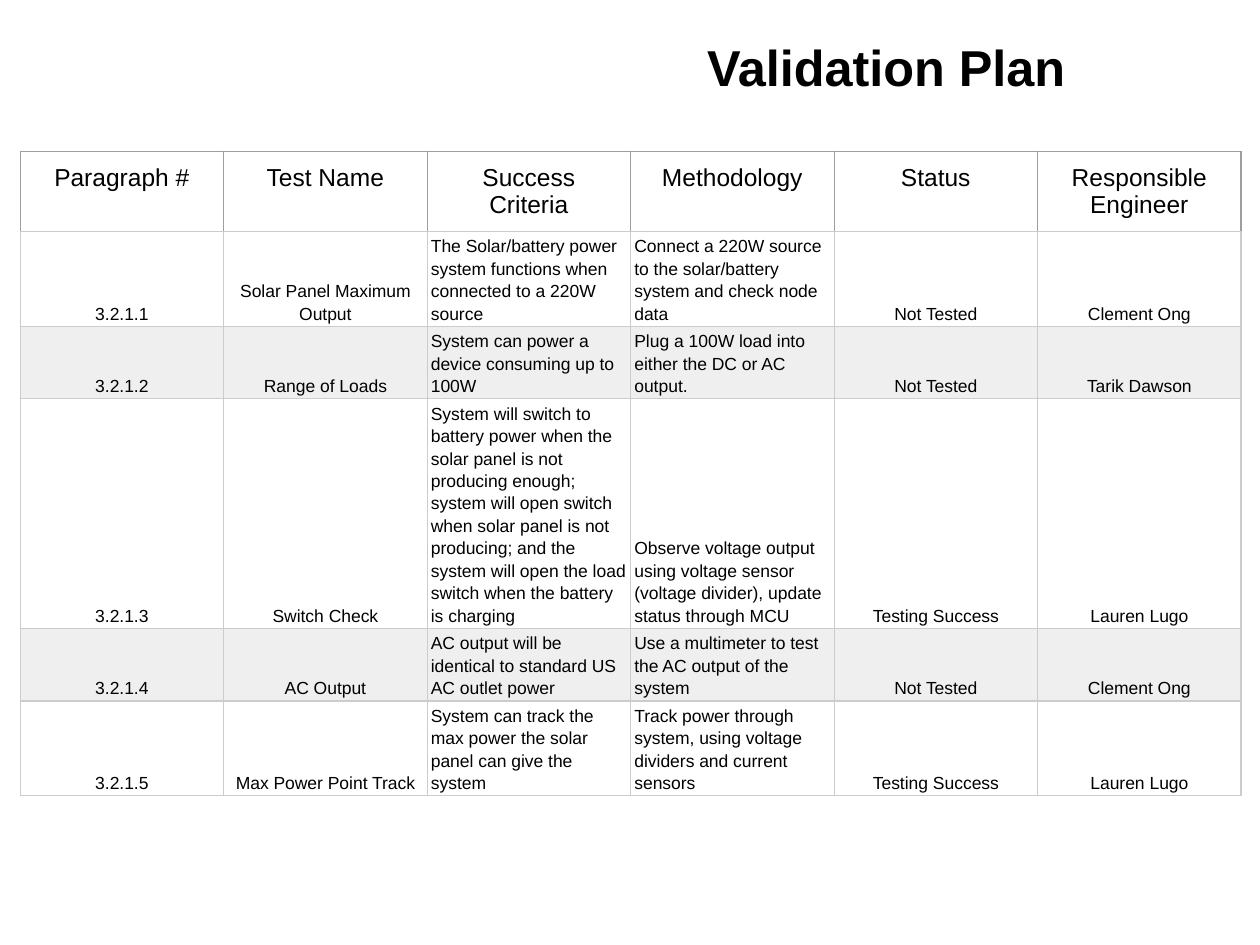
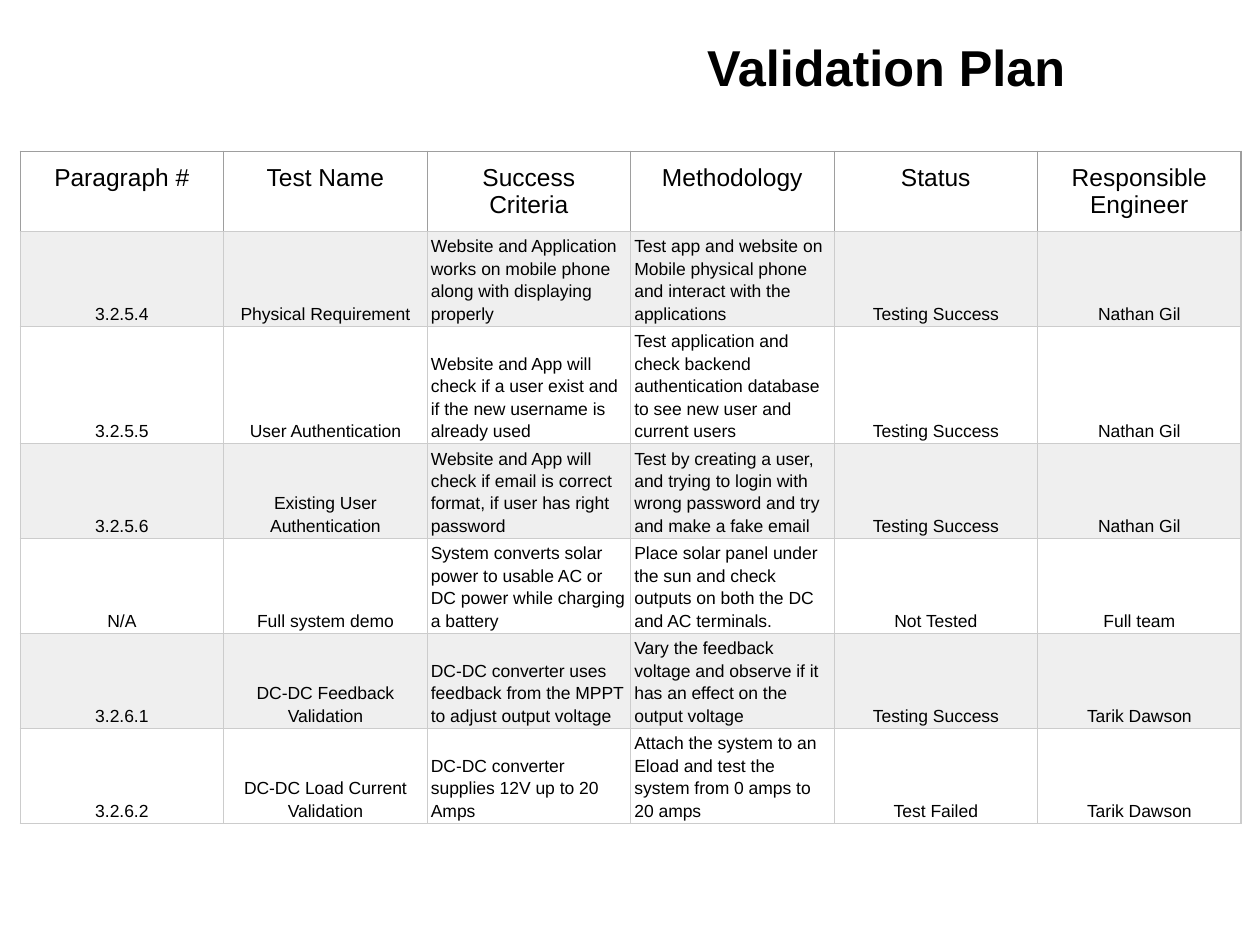
from typing import NamedTuple

from lxml.etree import SubElement
from pptx import Presentation
from pptx.dml.color import RGBColor
from pptx.enum.text import MSO_ANCHOR as Anchor, MSO_AUTO_SIZE as AutoSize, PP_ALIGN as Align
from pptx.oxml.ns import qn
from pptx.util import Inches, Pt

BLACK = RGBColor(0x00, 0x00, 0x00)
WHITE = RGBColor(0xFF, 0xFF, 0xFF)
BAND = RGBColor(0xEF, 0xEF, 0xEF)
GRID = RGBColor(0xCC, 0xCC, 0xCC)
HEADER_GRID = RGBColor(0x9E, 0x9E, 0x9E)
FONT = "Arial"
TITLE = "Validation Plan"
TABLE_LEFT, TABLE_TOP = Inches(0.16), Inches(1.2)
TABLE_WIDTH, ROW_HEIGHT = Inches(9.69), Inches(0.43)
HEADINGS = ("Paragraph #", "Test Name", "Success Criteria", "Methodology", "Status", "Responsible Engineer")
SIDES = ("L", "R", "T", "B")


class Check(NamedTuple):
    paragraph: str
    test: str
    criteria: str
    methodology: str
    status: str
    engineer: str


class Plan(NamedTuple):
    checks: tuple[Check, ...]
    bands: tuple[RGBColor, RGBColor]


class CellStyle(NamedTuple):
    size: float
    anchor: Anchor
    side_margin: float
    end_margin: float
    line_spacing: float
    borders: tuple[RGBColor, ...]


HEADER_STYLE = CellStyle(14, Anchor.TOP, 0.1, 0.1, 1.0, (HEADER_GRID, HEADER_GRID, HEADER_GRID, GRID))
BODY_STYLE = CellStyle(10, Anchor.BOTTOM, 0.03, 0.02, 1.15, (GRID,) * 4)

PLANS = (
    Plan((
        Check("3.2.1.1", "Solar Panel Maximum Output",
              "The Solar/battery power system functions when connected to a 220W source",
              "Connect a 220W source to the solar/battery system and check node data",
              "Not Tested", "Clement Ong"),
        Check("3.2.1.2", "Range of Loads",
              "System can power a device consuming up to 100W",
              "Plug a 100W load into either the DC or AC output.",
              "Not Tested", "Tarik Dawson"),
        Check("3.2.1.3", "Switch Check",
              "System will switch to battery power when the solar panel is not producing enough; "
              "system will open switch when solar panel is not producing; "
              "and the system will open the load switch when the battery is charging",
              "Observe voltage output using voltage sensor (voltage divider), update status through MCU",
              "Testing Success", "Lauren Lugo"),
        Check("3.2.1.4", "AC Output",
              "AC output will be identical to standard US AC outlet power",
              "Use a multimeter to test the AC output of the system",
              "Not Tested", "Clement Ong"),
        Check("3.2.1.5", "Max Power Point Track",
              "System can track the max power the solar panel can give the system",
              "Track power through system, using voltage dividers and current sensors",
              "Testing Success", "Lauren Lugo"),
    ), (WHITE, BAND)),
    Plan((
        Check("3.2.5.4", "Physical Requirement",
              "Website and Application works on mobile phone along with displaying properly",
              "Test app and website on Mobile physical phone and interact with the applications",
              "Testing Success", "Nathan Gil"),
        Check("3.2.5.5", "User Authentication",
              "Website and App will check if a user exist and if the new username is already used",
              "Test application and check backend authentication database to see new user and current users",
              "Testing Success", "Nathan Gil"),
        Check("3.2.5.6", "Existing User Authentication",
              "Website and App will check if email is correct format, if user has right password",
              "Test by creating a user, and trying to login with wrong password and try and make a fake email",
              "Testing Success", "Nathan Gil"),
        Check("N/A", "Full system demo",
              "System converts solar power to usable AC or DC power while charging a battery",
              "Place solar panel under the sun and check outputs on both the DC and AC terminals.",
              "Not Tested", "Full team"),
        Check("3.2.6.1", "DC-DC Feedback Validation",
              "DC-DC converter uses feedback from the MPPT to adjust output voltage",
              "Vary the feedback voltage and observe if it has an effect on the output voltage",
              "Testing Success", "Tarik Dawson"),
        Check("3.2.6.2", "DC-DC Load Current Validation",
              "DC-DC converter supplies 12V up to 20 Amps",
              "Attach the system to an Eload and test the system from 0 amps to 20 amps",
              "Test Failed", "Tarik Dawson"),
    ), (BAND, WHITE)),
)


def add_run(paragraph, text: str, size: float, bold: bool = False) -> None:
    """Add one black run to a paragraph."""
    run = paragraph.add_run()
    run.text = text
    run.font.name, run.font.size, run.font.bold = FONT, Pt(size), bold
    run.font.color.rgb = BLACK


def set_borders(cell, colors: tuple[RGBColor, ...]) -> None:
    """Draw the left, right, top and bottom borders of a cell."""
    properties = cell._tc.get_or_add_tcPr()
    for index, (side, color) in enumerate(zip(SIDES, colors)):
        border = SubElement(properties, qn(f"a:ln{side}"), w=str(Pt(0.75)))
        fill = SubElement(border, qn("a:solidFill"))
        SubElement(fill, qn("a:srgbClr"), val=str(color))
        properties.insert(index, border)


def fill_cell(cell, text: str, style: CellStyle, align: Align, color: RGBColor) -> None:
    """Write and format one table cell."""
    cell.fill.solid()
    cell.fill.fore_color.rgb = color
    cell.vertical_anchor = style.anchor
    cell.margin_left = cell.margin_right = Inches(style.side_margin)
    cell.margin_top = cell.margin_bottom = Inches(style.end_margin)
    paragraph = cell.text_frame.paragraphs[0]
    paragraph.alignment, paragraph.line_spacing = align, style.line_spacing
    add_run(paragraph, text, style.size)
    set_borders(cell, style.borders)


def add_title(slide) -> None:
    """Place and format the slide title."""
    title = slide.shapes.title
    title.left, title.top = Inches(3.58), Inches(0.26)
    title.width, title.height = Inches(6.91), Inches(0.54)
    frame = title.text_frame
    frame.auto_size, frame.vertical_anchor = AutoSize.NONE, Anchor.MIDDLE
    frame.paragraphs[0].alignment = Align.CENTER
    add_run(frame.paragraphs[0], TITLE, 28.8, bold=True)


def add_plan_table(slide, plan: Plan) -> None:
    """Draw the headings and one banded row per check."""
    row_count = len(plan.checks) + 1
    table = slide.shapes.add_table(row_count, len(HEADINGS), TABLE_LEFT, TABLE_TOP,
                                   TABLE_WIDTH, ROW_HEIGHT * row_count).table
    table.first_row = table.horz_banding = False
    for column, heading in enumerate(HEADINGS):
        fill_cell(table.cell(0, column), heading, HEADER_STYLE, Align.CENTER, WHITE)
    for row, check in enumerate(plan.checks):
        for column, (field, text) in enumerate(zip(check._fields, check)):
            align = Align.LEFT if field in ("criteria", "methodology") else Align.CENTER
            fill_cell(table.cell(row + 1, column), text, BODY_STYLE, align, plan.bands[row % 2])


def main() -> None:
    """Build the validation plan slides."""
    deck = Presentation()
    deck.slide_width, deck.slide_height = Inches(10), Inches(7.5)
    for plan in PLANS:
        slide = deck.slides.add_slide(deck.slide_layouts.get_by_name("Title Only"))
        add_title(slide)
        add_plan_table(slide, plan)
    deck.save("out.pptx")


if __name__ == "__main__":
    main()
